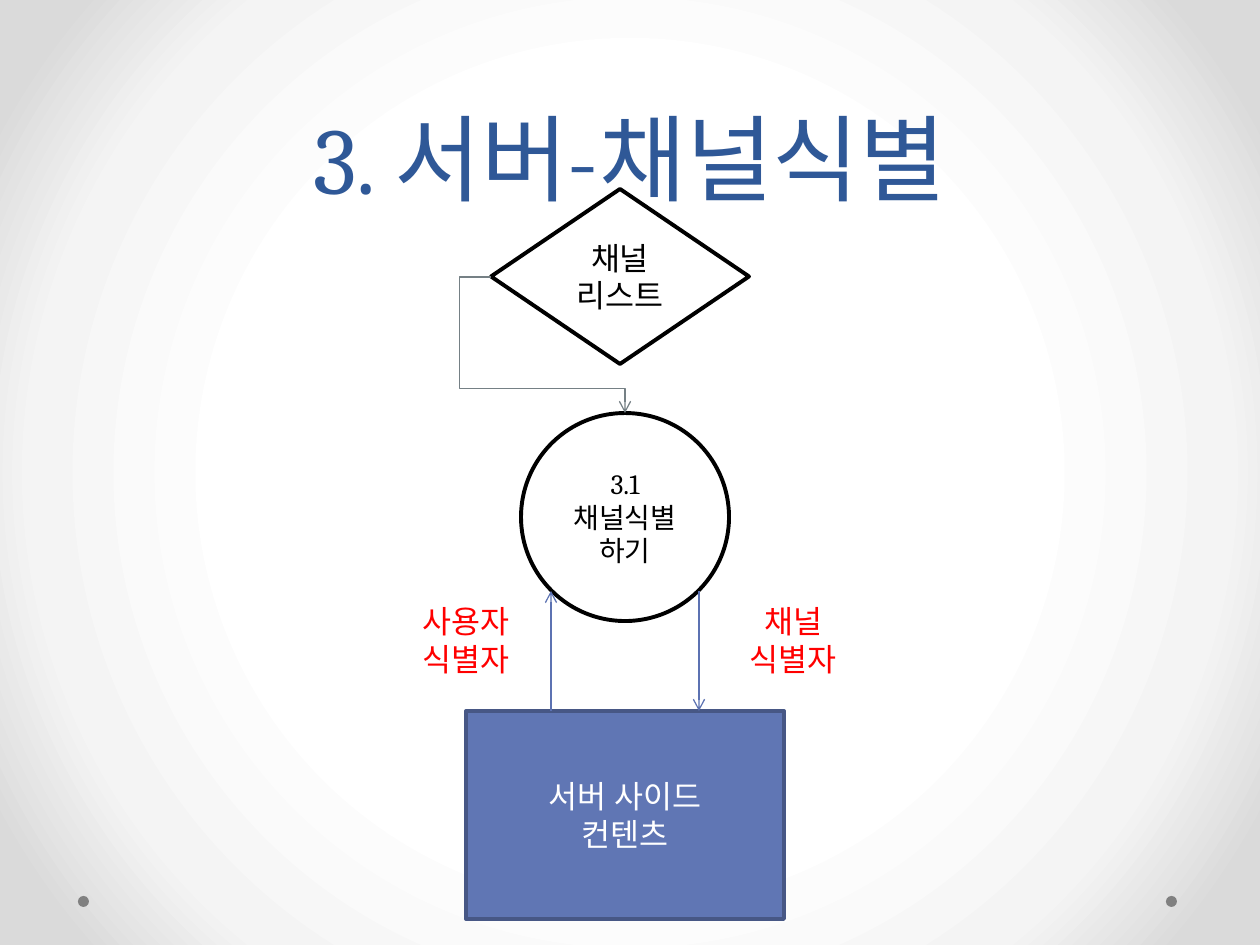
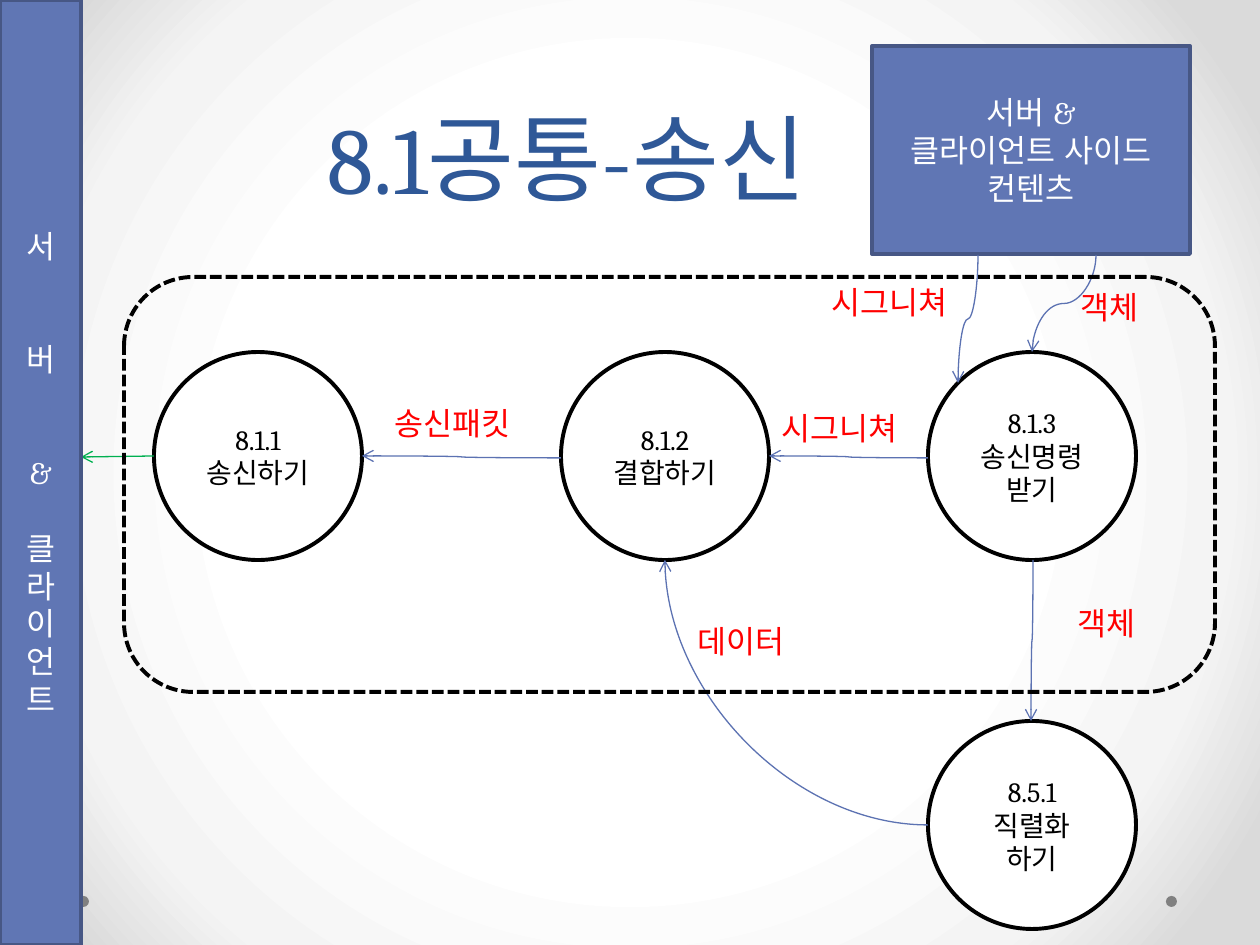
"""Two data-flow slides: channel identification and common sending."""
from dataclasses import dataclass
from typing import Optional

import pptx
import pptx.dml.color
import pptx.enum.dml
import pptx.enum.lang
import pptx.enum.shapes
import pptx.enum.text
import pptx.oxml
import pptx.oxml.ns
import pptx.util

SHAPE = pptx.enum.shapes.MSO_SHAPE
LINK = pptx.enum.shapes.MSO_CONNECTOR
ALIGN = pptx.enum.text.PP_ALIGN
ANCHOR = pptx.enum.text.MSO_ANCHOR

PX_PER_INCH = 126
WIDTH, HEIGHT = 1260, 945
FONT = "Cambria"
BLACK, WHITE, RED, GREEN = "000000", "FFFFFF", "FF0000", "00B050"
TITLE, BOX, BOX_EDGE = "2F5897", "6076B4", "475785"
FLOW, ELBOW, DOT = "5C72B2", "758085", "808080"
BACKGROUND_STOPS = ((50, "FFFFFF"), (76, "F4F4F4"), (92, "DADADA"))
CIRCLE = 208
BOX_W, BOX_H = 318, 208
LABEL_H = 50


@dataclass
class Node:
    """A filled, outlined shape with centred text."""
    kind: int
    x: int
    y: int
    w: int
    h: int
    text: str
    size: int = 18
    fill: Optional[str] = WHITE
    edge: str = BLACK
    ink: str = BLACK
    inset: Optional[int] = None


@dataclass
class Label:
    """Red text that names a flow."""
    x: int
    y: int
    w: int
    text: str
    h: int = LABEL_H
    align: int = ALIGN.LEFT


@dataclass
class Flow:
    """An arrow between two points; a vertical curve leaves downwards."""
    x1: int
    y1: int
    x2: int
    y2: int
    preset: str = "line"
    colour: str = FLOW
    vertical: bool = False
    adjust: tuple = ()


def px(n: float) -> int:
    """Turn pixels into EMU."""
    return round(n * 914400 / PX_PER_INCH)


def rgb(colour: str) -> pptx.dml.color.RGBColor:
    """Turn a hex string into a colour."""
    return pptx.dml.color.RGBColor.from_string(colour)


def write(tf, text: str, size: int, colour: str, align: int) -> None:
    """Fill a text frame, one paragraph per line, and format its runs."""
    tf.text = text
    tf.word_wrap = True
    for p in tf.paragraphs:
        p.alignment = align
        for r in p.runs:
            r.font.size = pptx.util.Pt(size)
            r.font.name = FONT
            r.font.color.rgb = rgb(colour)
            r.font.language_id = pptx.enum.lang.MSO_LANGUAGE_ID.KOREAN


def circle(x: int, y: int, text: str) -> Node:
    """Describe a process circle."""
    return Node(SHAPE.OVAL, x, y, CIRCLE, CIRCLE, text, size=16, inset=5)


def box(x: int, y: int, text: str, w: int = BOX_W, h: int = BOX_H) -> Node:
    """Describe a blue box."""
    return Node(SHAPE.RECTANGLE, x, y, w, h, text,
                fill=BOX, edge=BOX_EDGE, ink=WHITE)


def draw_node(s, node: Node):
    """Draw a node and return its shape."""
    sp = s.shapes.add_shape(node.kind, px(node.x), px(node.y), px(node.w), px(node.h))
    sp.shadow.inherit = False
    if node.fill:
        sp.fill.solid()
        sp.fill.fore_color.rgb = rgb(node.fill)
    else:
        sp.fill.background()
    sp.line.color.rgb = rgb(node.edge)
    sp.line.width = pptx.util.Pt(2.25)
    tf = sp.text_frame
    tf.vertical_anchor = ANCHOR.MIDDLE
    if node.inset is not None:
        tf.margin_left = tf.margin_right = px(node.inset)
        tf.margin_top = tf.margin_bottom = px(node.inset)
    if node.text:
        write(tf, node.text, node.size, node.ink, ALIGN.CENTER)
    return sp


def draw_label(s, label: Label) -> None:
    """Draw a flow label."""
    sp = s.shapes.add_textbox(px(label.x), px(label.y), px(label.w), px(label.h))
    write(sp.text_frame, label.text, 18, RED, label.align)


def draw_flow(s, flow: Flow) -> None:
    """Draw an arrow; a vertical one is laid flat and turned a quarter."""
    x1, y1, x2, y2 = flow.x1, flow.y1, flow.x2, flow.y2
    if flow.vertical:
        cx, cy = (x1 + x2) / 2, (y1 + y2) / 2
        w, h = abs(y2 - y1), abs(x2 - x1)
        x1, y1, x2, y2 = cx - w / 2, cy - h / 2, cx + w / 2, cy + h / 2
    c = s.shapes.add_connector(LINK.STRAIGHT, px(x1), px(y1), px(x2), px(y2))
    c.line.color.rgb = rgb(flow.colour)
    c.line.width = pptx.util.Pt(0.75)
    props = c._element.spPr
    if flow.vertical:
        props.find(pptx.oxml.ns.qn("a:xfrm")).set("rot", str(90 * 60000))
    geom = props.find(pptx.oxml.ns.qn("a:prstGeom"))
    geom.set("prst", flow.preset)
    guides = geom.find(pptx.oxml.ns.qn("a:avLst"))
    for i, value in enumerate(flow.adjust, 1):
        gd = guides.makeelement(pptx.oxml.ns.qn("a:gd"), {
            "name": f"adj{i}", "fmla": f"val {round(value * 100000)}"})
        guides.append(gd)
    ns = pptx.oxml.ns.nsdecls("a")
    c.line._get_or_add_ln().append(pptx.oxml.parse_xml(f'<a:tailEnd {ns} type="arrow"/>'))
    props.append(pptx.oxml.parse_xml(f"<a:effectLst {ns}/>"))


def draw_background(s) -> None:
    """Give the slide its radial gradient."""
    s.background.fill.gradient()
    old = s._element.find(".//" + pptx.oxml.ns.qn("a:gradFill"))
    stops = "".join(f'<a:gs pos="{pos * 1000}"><a:srgbClr val="{colour}"/></a:gs>'
                    for pos, colour in BACKGROUND_STOPS)
    new = pptx.oxml.parse_xml(
        f'<a:gradFill {pptx.oxml.ns.nsdecls("a")} rotWithShape="1">'
        f'<a:gsLst>{stops}</a:gsLst><a:path path="circle">'
        '<a:fillToRect l="50000" t="50000" r="50000" b="50000"/></a:path></a:gradFill>')
    old.getparent().replace(old, new)


def new_slide(prs, title: str, title_x: int):
    """Add a slide with background, corner dots and title."""
    s = prs.slides.add_slide(prs.slide_layouts[6])
    draw_background(s)
    for x in (1166, 78):
        dot = s.shapes.add_shape(SHAPE.OVAL, px(x), px(896), px(11), px(11))
        dot.shadow.inherit = False
        dot.fill.solid()
        dot.fill.fore_color.rgb = rgb(DOT)
        dot.line.fill.background()
    tf = s.shapes.add_textbox(px(title_x), 0, px(1134), px(220)).text_frame
    tf.vertical_anchor = ANCHOR.BOTTOM
    write(tf, title, 54, TITLE, ALIGN.CENTER)
    tf.paragraphs[0].line_spacing = pptx.util.Pt(58)
    return s


def draw_all(s, nodes: list, flows: list, labels: list) -> None:
    """Draw nodes, then flows, then labels."""
    for node in nodes:
        draw_node(s, node)
    for flow in flows:
        draw_flow(s, flow)
    for label in labels:
        draw_label(s, label)


def channel_slide(prs) -> None:
    """Build the slide on identifying a channel."""
    s = new_slide(prs, "3. 서버-채널식별", 63)
    draw_all(
        s,
        [Node(SHAPE.FLOWCHART_DECISION, 491, 189, 258, 175, "채널\n리스트"),
         circle(521, 413, "3.1\n채널식별\n하기"),
         box(466, 711, "서버 사이드\n컨텐츠")],
        [Flow(491, 277, 625, 413, "bentConnector4", ELBOW, adjust=(-0.235, 0.822)),
         Flow(551, 711, 551, 591),
         Flow(699, 591, 699, 711)],
        [Label(372, 596, 189, "사용자\n식별자", 89, ALIGN.CENTER),
         Label(699, 596, 189, "채널\n식별자", 89, ALIGN.CENTER)])


def sending_slide(prs) -> None:
    """Build the slide on sending."""
    s = new_slide(prs, "8.1공통-송신", 0)
    curve = "curvedConnector3"
    draw_all(
        s,
        [circle(154, 352, "8.1.1\n송신하기"),
         circle(561, 352, "8.1.2\n결합하기"),
         circle(928, 352, "8.1.3\n송신명령\n받기"),
         circle(928, 721, "8.5.1\n직렬화\n하기"),
         box(872, 46, "서버 &\n클라이언트 사이드\n컨텐츠")],
        [Flow(928, 458, 769, 456, curve),
         Flow(561, 458, 362, 456, curve),
         Flow(1033, 560, 1031, 721, curve, vertical=True),
         Flow(928, 825, 665, 560, "curvedConnector2"),
         Flow(978, 255, 958, 383, curve, vertical=True),
         Flow(1096, 255, 1032, 352, curve, vertical=True),
         Flow(154, 456, 81, 457, colour=GREEN)],
        [Label(769, 403, 189, "시그니쳐"),
         Label(685, 616, 134, "데이터"),
         Label(819, 277, 189, "시그니쳐"),
         Label(1068, 282, 107, "객체"),
         Label(1065, 598, 107, "객체"),
         Label(382, 398, 189, "송신패킷")])
    frame = draw_node(s, Node(SHAPE.ROUNDED_RECTANGLE, 124, 277, 1091, 415, "", fill=None))
    frame.line.dash_style = pptx.enum.dml.MSO_LINE.SQUARE_DOT
    sidebar = draw_node(s, box(0, 0, "서\n버\n&\n클\n라\n이\n언\n트", 81, HEIGHT))
    gaps = {1: 43, 2: 43, 3: 21.5}
    for i, points in gaps.items():
        sidebar.text_frame.paragraphs[i].space_before = pptx.util.Pt(points)


def main() -> None:
    """Build and save the presentation."""
    prs = pptx.Presentation()
    prs.slide_width, prs.slide_height = px(WIDTH), px(HEIGHT)
    channel_slide(prs)
    sending_slide(prs)
    prs.save("out.pptx")


main()
